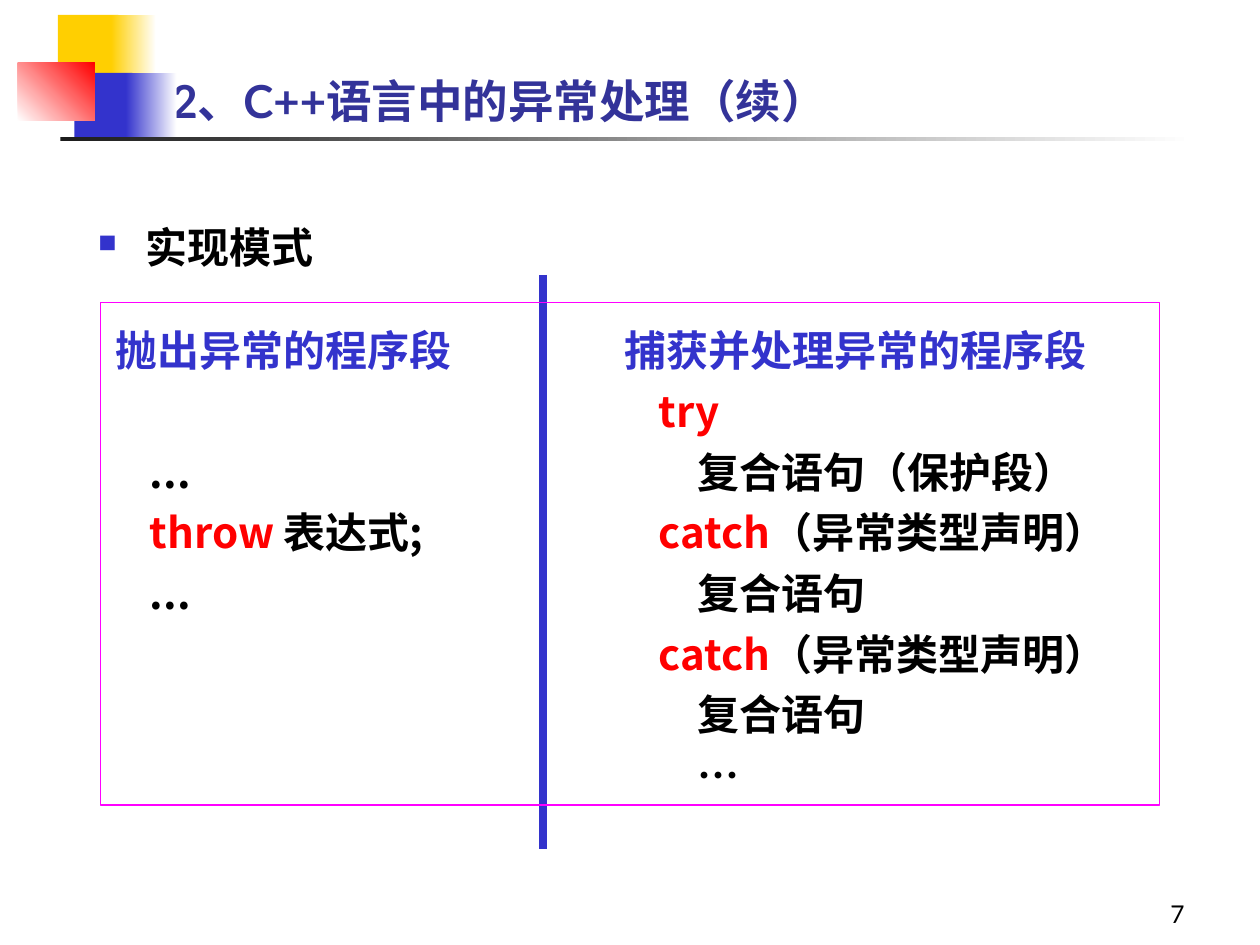
from dataclasses import dataclass

from lxml.etree import SubElement
from pptx import Presentation
from pptx.dml.color import RGBColor
from pptx.enum.shapes import MSO_CONNECTOR, MSO_SHAPE
from pptx.enum.text import MSO_ANCHOR, PP_ALIGN
from pptx.oxml.ns import qn
from pptx.util import Cm, Pt


@dataclass(frozen=True)
class Theme:
    """Colours, fonts and type sizes of the deck."""

    yellow: str = "FFCF01"
    blue: str = "3333CC"
    red: str = "FF0000"
    white: str = "FFFFFF"
    black: str = "000000"
    charcoal: str = "1C1C1C"
    magenta: str = "FF00FF"
    navy: str = "333399"
    latin: str = "Lato"
    chinese: str = "Noto Sans CJK SC"
    title_size: float = 26
    text_size: float = 24
    number_size: float = 14
    line_height: float = 28.7
    line_gap: float = 6


class SlideBuilder:
    """Draws styled elements on the current slide."""

    def __init__(self, slide, theme):
        self.slide = slide
        self.theme = theme

    def style(self, font, face, size, color, bold=True):
        """Apply face, size, colour and weight to a font."""
        font.name, font.size, font.bold = face, Pt(size), bold
        font.color.rgb = RGBColor.from_string(color)

    def title(self, wording, place):
        """Fill and place the title placeholder."""
        heading = self.slide.shapes.title
        heading.left, heading.top, heading.width, heading.height = map(Cm, place)
        frame = heading.text_frame
        frame.text = wording
        frame.vertical_anchor = MSO_ANCHOR.BOTTOM
        paragraph = frame.paragraphs[0]
        paragraph.alignment = PP_ALIGN.LEFT
        self.style(paragraph.font, self.theme.latin, self.theme.title_size, self.theme.navy)

    def block(self, place, start=None, end=None, angle=0, outline=None):
        """Add a rectangle with a solid, gradient or empty fill."""
        block = self.slide.shapes.add_shape(MSO_SHAPE.RECTANGLE, *map(Cm, place))
        block.shadow.inherit = False
        if end:
            block.fill.gradient()
            block.fill.gradient_angle = angle
            for stop, color in zip(block.fill.gradient_stops, (start, end)):
                stop.color.rgb = RGBColor.from_string(color)
        elif start:
            block.fill.solid()
            block.fill.fore_color.rgb = RGBColor.from_string(start)
        else:
            block.fill.background()
        if outline:
            block.line.color.rgb = RGBColor.from_string(outline)
            block.line.width = Pt(0.75)
        else:
            block.line.fill.background()

    def text_frame(self, place):
        """Add a wrapping text box and return its frame."""
        frame = self.slide.shapes.add_textbox(*map(Cm, place)).text_frame
        frame.word_wrap = True
        return frame

    def bullet(self, wording, place):
        """Add a line with a square bullet."""
        paragraph = self.text_frame(place).paragraphs[0]
        paragraph.text = wording
        paragraph.line_spacing = 1.4
        properties = paragraph._p.get_or_add_pPr()
        properties.set("marL", str(Cm(0.95)))
        properties.set("indent", str(Cm(-0.95)))
        color = SubElement(properties, qn("a:buClr"))
        SubElement(color, qn("a:srgbClr"), val=self.theme.blue)
        SubElement(properties, qn("a:buSzPct"), val="60000")
        SubElement(properties, qn("a:buChar"), char="■")
        self.style(paragraph.font, self.theme.latin, self.theme.text_size, self.theme.black)

    def code_column(self, place, lines):
        """Add lines of (indent, skipped lines, coloured runs)."""
        theme = self.theme
        frame = self.text_frame(place)
        frame.margin_top = Cm(0.23)
        for index, (indent, skipped, runs) in enumerate(lines):
            paragraph = frame.paragraphs[0] if index == 0 else frame.add_paragraph()
            paragraph.line_spacing = Pt(theme.line_height)
            if index:
                pitch = theme.line_height + theme.line_gap
                paragraph.space_before = Pt(theme.line_gap + skipped * pitch)
            paragraph._p.get_or_add_pPr().set("marL", str(Cm(indent)))
            for wording, color in runs:
                run = paragraph.add_run()
                run.text = wording
                self.style(run.font, theme.chinese, theme.text_size, color)

    def divider(self, x, top, bottom):
        """Add a thick vertical line."""
        line = self.slide.shapes.add_connector(
            MSO_CONNECTOR.STRAIGHT, Cm(x), Cm(top), Cm(x), Cm(bottom))
        line.line.color.rgb = RGBColor.from_string(self.theme.blue)
        line.line.width = Pt(4.5)
        SubElement(line._element.spPr, qn("a:effectLst"))

    def page_number(self, wording, place):
        """Add the page number at the bottom right."""
        frame = self.text_frame(place)
        frame.vertical_anchor = MSO_ANCHOR.BOTTOM
        paragraph = frame.paragraphs[0]
        paragraph.text = wording
        paragraph.alignment = PP_ALIGN.RIGHT
        self.style(paragraph.font, self.theme.latin, self.theme.number_size,
                   self.theme.black, bold=False)


def main():
    """Build the slide on exception handling."""
    deck = Presentation()
    deck.slide_width, deck.slide_height = Cm(25.4), Cm(19.05)
    theme = Theme()
    page = SlideBuilder(deck.slides.add_slide(deck.slide_layouts[5]), theme)

    page.block((1.17, 0.3, 1.22, 1.32), theme.yellow)
    page.block((2.24, 0.3, 0.91, 1.32), theme.yellow, theme.white)
    page.block((1.5, 1.47, 1.17, 1.32), theme.blue)
    page.block((2.54, 1.47, 1.02, 1.32), theme.blue, theme.white)
    page.block((0.36, 1.27, 1.55, 1.17), theme.white, theme.red, angle=45)
    page.block((1.22, 2.77, 22.86, 0.08), theme.charcoal, theme.white)

    page.page_number("7", (18.85, 17.58, 5.28, 1.27))
    page.title("2、C++语言中的异常处理（续）", (3.2, 1.12, 21.64, 1.57))
    page.bullet("实现模式", (1.73, 3.94, 23.14, 15.01))

    heading, statement, nested = 0.58, 1.27, 2.06
    ellipsis = [("...", theme.black)]
    compound = (nested, 0, [("复合语句", theme.black)])
    handler = (statement, 0, [("catch", theme.red), ("（异常类型声明）", theme.black)])
    page.code_column((1.5, 6.32, 9.86, 8.46), [
        (heading, 0, [("抛出异常的程序段", theme.blue)]),
        (statement, 1, ellipsis),
        (statement, 0, [("throw ", theme.red), ("表达式;", theme.black)]),
        (statement, 0, ellipsis),
    ])
    page.code_column((11.76, 6.32, 11.18, 8.46), [
        (heading, 0, [("捕获并处理异常的程序段", theme.blue)]),
        (statement, 0, [("try", theme.red)]),
        (nested, 0, [("复合语句（保护段）", theme.black)]),
        handler,
        compound,
        handler,
        compound,
        (nested, 0, [("…", theme.black)]),
    ])

    page.divider(10.95, 5.54, 17.12)
    page.block((2.03, 6.1, 21.34, 10.13), outline=theme.magenta)
    deck.save("out.pptx")


if __name__ == "__main__":
    main()
